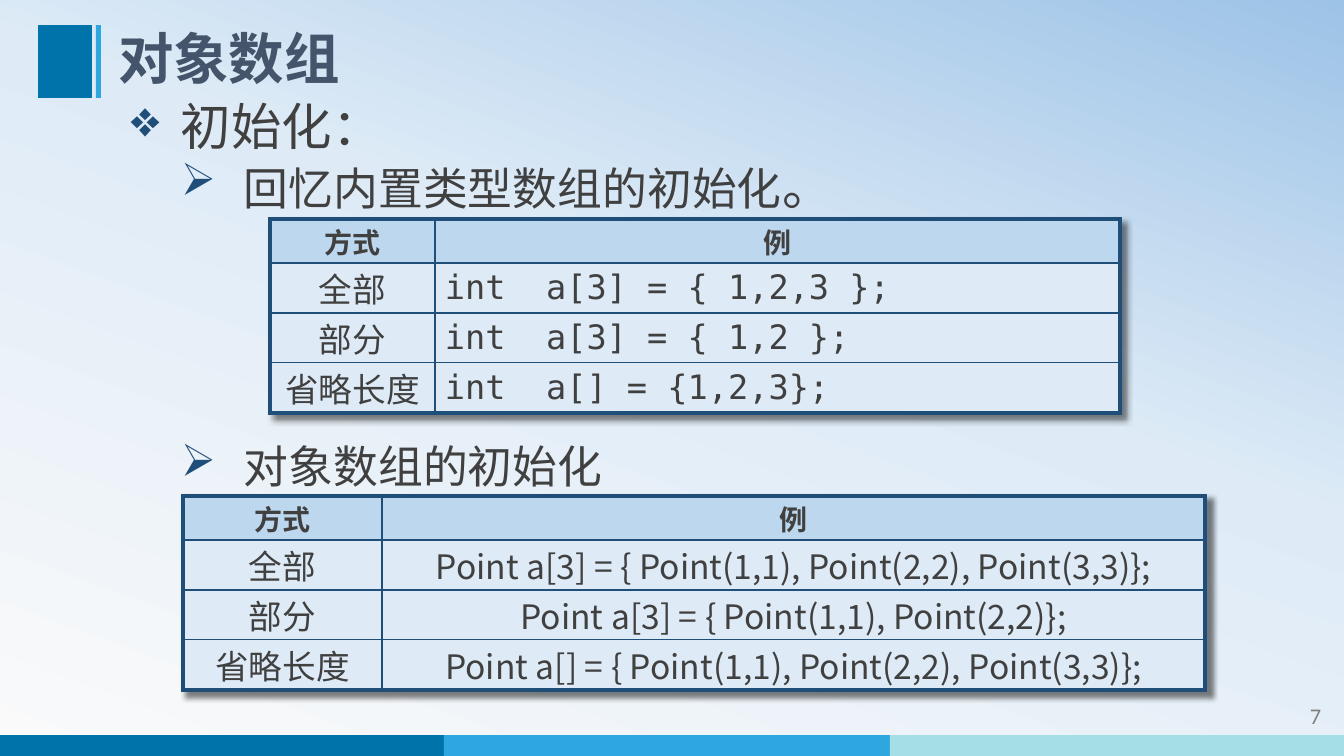
import copy
from dataclasses import dataclass, field
from typing import Any

import pptx
import pptx.dml.color
import pptx.enum.shapes
import pptx.enum.text
import pptx.oxml
import pptx.oxml.ns
import pptx.util
from lxml import etree

EMU_PER_PIXEL = 12192000 / 1344
CJK, MONO, LATIN = "Noto Sans CJK SC", "DejaVu Sans Mono", "Calibri"
COLORS = {
    "deep": "0073AB", "bright": "2EA7E0", "pale": "A5DEE4",
    "title": "44546A", "body": "404040", "number": "808080",
    "rule": "1F4E79", "header": "BDD7EE", "row": "DEEBF7",
}
BACKDROP = [(0, "FAFAFA"), (0.58, "DEEBF7"), (1, "9DC3E6")]
ALIGN = pptx.enum.text.PP_ALIGN
ANCHOR = pptx.enum.text.MSO_ANCHOR
qn = pptx.oxml.ns.qn


@dataclass
class Bar:
    left: int
    top: int
    width: int
    height: int
    color: str


@dataclass
class Outline:
    bullet: str
    pieces: list[tuple[str, int]]
    level: int
    margin: int
    hanging: int
    before: int = 0


@dataclass
class Examples:
    left: int
    top: int
    columns: tuple[int, int]
    codes: list[str]
    code_font: dict[str, Any] = field(default_factory=dict)
    code_paragraph: dict[str, Any] = field(default_factory=dict)


BARS = [
    Bar(0, 735, 450, 21, "deep"),
    Bar(444, 735, 453, 21, "bright"),
    Bar(890, 735, 454, 21, "pale"),
    Bar(38, 25, 54, 73, "deep"),
    Bar(96, 25, 5, 73, "bright"),
]
OUTLINES = [
    Outline("❖", [("初始化：", 36)], 0, 50, 50),
    Outline("➢", [("回忆内置类型数组的初始化", 32), ("。", 36)], 1, 113, 63),
    Outline("➢", [("对象数组的初始化", 32)], 1, 113, 63, 155),
]
TABLES = [
    Examples(270, 219, (165, 685),
             ["int  a[3] = { 1,2,3 };", "int  a[3] = { 1,2 };", "int  a[] = {1,2,3};"],
             {"name": MONO}, {"alignment": ALIGN.LEFT, "line_spacing": 1.0}),
    Examples(183, 496, (199, 823),
             ["Point a[3] = { Point(1,1), Point(2,2), Point(3,3)};",
              "Point a[3] = { Point(1,1), Point(2,2)};",
              "Point a[] = { Point(1,1), Point(2,2), Point(3,3)};"]),
]
METHODS = ["全部", "部分", "省略长度"]
ROW_HEIGHTS = [44, 50, 50, 50]


def px(pixels: int) -> int:
    return round(pixels * EMU_PER_PIXEL)


def rgb(color: str) -> pptx.dml.color.RGBColor:
    return pptx.dml.color.RGBColor.from_string(color)


def apply(target: Any, formats: dict[str, Any]) -> None:
    for attribute, value in formats.items():
        setattr(target, attribute, value)


def write(paragraph: Any, words: str, points: float, color: str, **formats: Any) -> None:
    run = paragraph.add_run()
    run.text = words
    run.font.color.rgb = rgb(COLORS[color])
    apply(run.font, {"size": pptx.util.Pt(points), "bold": False, "name": CJK} | formats)
    east_asian = etree.SubElement(run.font._element, qn("a:ea"))
    east_asian.set("typeface", CJK)


def paint_backdrop(slide: Any) -> None:
    fill = slide.background.fill
    fill.gradient()
    fill.gradient_angle = 70
    stop_list = next(slide._element.iter(qn("a:gsLst")))
    stop_list.append(copy.deepcopy(stop_list[-1]))
    for stop, (position, color) in zip(fill.gradient_stops, BACKDROP):
        stop.position = position
        stop.color.rgb = rgb(color)


def draw_bar(slide: Any, bar: Bar) -> None:
    block = slide.shapes.add_shape(
        pptx.enum.shapes.MSO_SHAPE.RECTANGLE,
        px(bar.left), px(bar.top), px(bar.width), px(bar.height))
    block.shadow.inherit = False
    block.fill.solid()
    block.fill.fore_color.rgb = rgb(COLORS[bar.color])
    block.line.fill.background()


def write_outline(paragraph: Any, outline: Outline) -> None:
    apply(paragraph, {"level": outline.level, "line_spacing": pptx.util.Pt(43),
                      "space_before": pptx.util.Pt(outline.before)})
    properties = paragraph._p.get_or_add_pPr()
    properties.set("marL", str(px(outline.margin)))
    properties.set("indent", str(-px(outline.hanging)))
    bullet_color = etree.SubElement(properties, qn("a:buClr"))
    etree.SubElement(bullet_color, qn("a:srgbClr")).set("val", COLORS["rule"])
    etree.SubElement(properties, qn("a:buChar")).set("char", outline.bullet)
    for words, points in outline.pieces:
        write(paragraph, words, points, "body")


def add_border(cell: Any, side: str, points: int) -> None:
    border = etree.SubElement(cell._tc.get_or_add_tcPr(), qn(f"a:ln{side}"))
    border.set("w", str(pptx.util.Pt(points)))
    color = etree.SubElement(etree.SubElement(border, qn("a:solidFill")), qn("a:srgbClr"))
    color.set("val", COLORS["rule"])


def add_table_shadow(table: Any) -> None:
    effects = pptx.oxml.parse_xml(
        f'<a:effectLst {pptx.oxml.ns.nsdecls("a")}>'
        '<a:outerShdw blurRad="50800" dist="50800" dir="2700000" algn="tl" rotWithShape="0">'
        '<a:srgbClr val="000000"><a:alpha val="50000"/></a:srgbClr>'
        '</a:outerShdw></a:effectLst>')
    table._tbl.tblPr.insert(0, effects)


def draw_examples(slide: Any, examples: Examples) -> None:
    rows = [("方式", "例"), *zip(METHODS, examples.codes)]
    table = slide.shapes.add_table(
        len(rows), 2, px(examples.left), px(examples.top),
        px(sum(examples.columns)), px(sum(ROW_HEIGHTS))).table
    apply(table, {"first_row": False, "horz_banding": False})
    add_table_shadow(table)
    for column, width in zip(table.columns, examples.columns):
        column.width = px(width)
    for r, (row, height) in enumerate(zip(table.rows, ROW_HEIGHTS)):
        row.height = px(height)
        header = r == 0
        for c, words in enumerate(rows[r]):
            cell = table.cell(r, c)
            outer = {"L": c == 0, "R": c == 1, "T": header, "B": r == len(rows) - 1}
            for side, is_outer in outer.items():
                add_border(cell, side, 3 if is_outer else 1)
            cell.fill.solid()
            cell.fill.fore_color.rgb = rgb(COLORS["header" if header else "row"])
            apply(cell, {"margin_left": px(10), "margin_right": px(10),
                         "margin_top": px(5), "margin_bottom": 0})
            is_code = c == 1 and not header
            paragraph = cell.text_frame.paragraphs[0]
            apply(paragraph, {"alignment": ALIGN.CENTER,
                              "line_spacing": pptx.util.Pt(27 if header else 32)}
                  | (examples.code_paragraph if is_code else {}))
            write(paragraph, words, 20 if header else 24, "body",
                  **({"bold": header} | (examples.code_font if is_code else {})))


deck = pptx.Presentation()
apply(deck, {"slide_width": px(1344), "slide_height": px(756)})
slide = deck.slides.add_slide(deck.slide_layouts[5])
paint_backdrop(slide)
for bar in BARS:
    draw_bar(slide, bar)

heading = slide.shapes.title
apply(heading, {"left": px(108), "top": px(25), "width": px(1095), "height": px(73)})
apply(heading.text_frame, {"vertical_anchor": ANCHOR.MIDDLE, "word_wrap": True})
heading_line = heading.text_frame.paragraphs[0]
apply(heading_line, {"alignment": ALIGN.LEFT, "line_spacing": 0.9})
write(heading_line, "对象数组", 39.6, "title", bold=True)

body = slide.shapes.add_textbox(px(121), px(90), px(1069), px(414)).text_frame
body.word_wrap = True
for index, outline in enumerate(OUTLINES):
    write_outline(body.add_paragraph() if index else body.paragraphs[0], outline)

for examples in TABLES:
    draw_examples(slide, examples)

page_number = slide.shapes.add_textbox(px(1171), px(696), px(160), px(40)).text_frame
apply(page_number, {"word_wrap": True, "vertical_anchor": ANCHOR.MIDDLE})
page_number.paragraphs[0].alignment = ALIGN.RIGHT
write(page_number.paragraphs[0], "7", 16, "number", name=LATIN)

deck.save("out.pptx")
